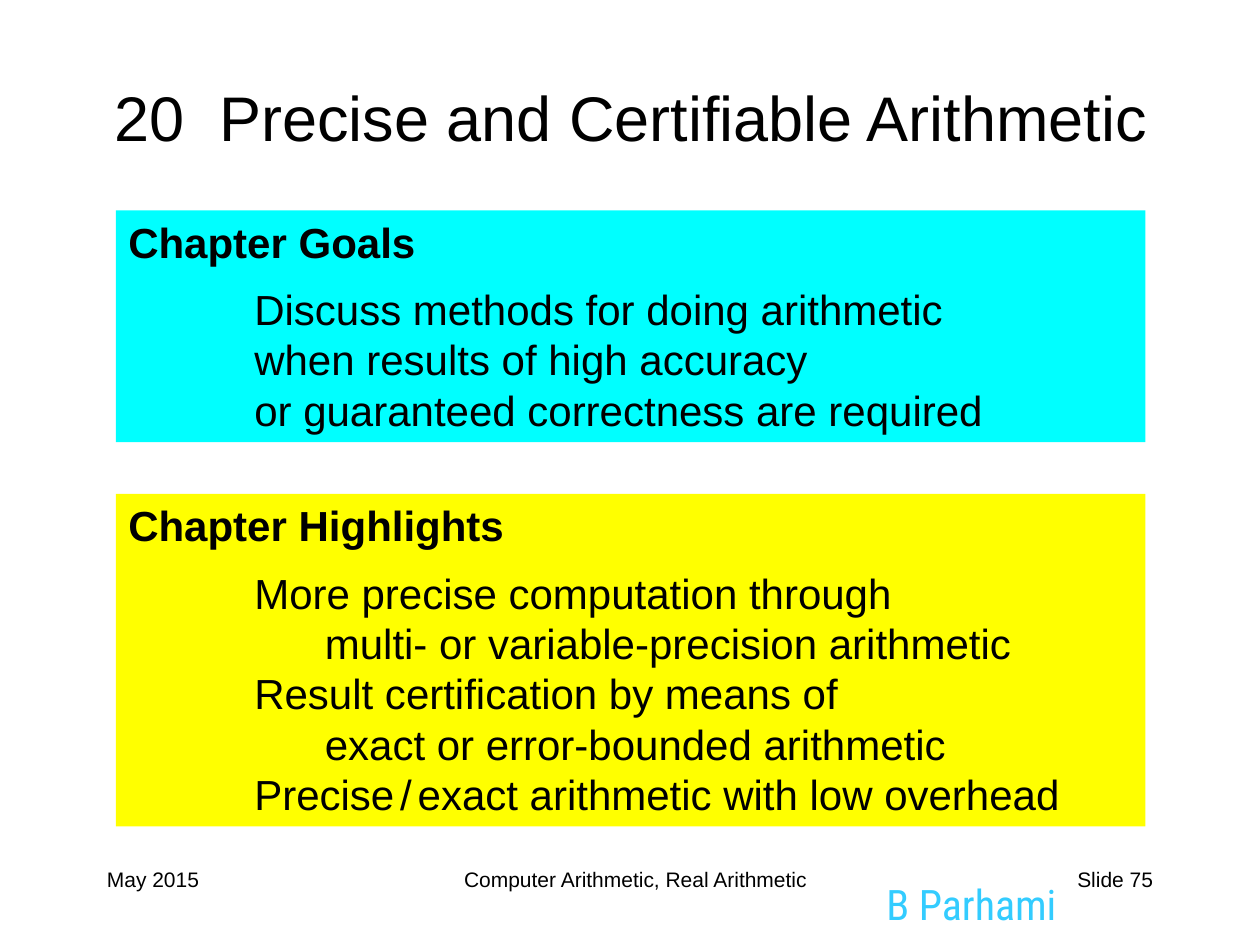
"""Build the chapter opening slide on precise and certifiable arithmetic."""
from pptx import Presentation
from pptx.dml.color import RGBColor
from pptx.enum.shapes import MSO_SHAPE
from pptx.enum.text import MSO_ANCHOR, PP_ALIGN
from pptx.util import Inches, Pt

RECTANGLE = MSO_SHAPE.RECTANGLE
TOP, MIDDLE = MSO_ANCHOR.TOP, MSO_ANCHOR.MIDDLE
LEFT, CENTER, RIGHT = PP_ALIGN.LEFT, PP_ALIGN.CENTER, PP_ALIGN.RIGHT
COLORS = {"text": "000000", "goals": "00FFFF", "highlights": "FFFF00", "author": "33CCFF"}
BODY_SIZE = 24
LINE_HEIGHT = 28.75
HEADING_GAP = 9.6
ITEM_INDENT = 1.0
CONTINUED_INDENT = 1.56


def add_span(para, text, size, color="text", font="Arial", bold=False):
    """Append one formatted run to a paragraph and return it."""
    span = para.add_run()
    span.text = text
    span.font.name = font
    span.font.size = Pt(size)
    span.font.bold = bold
    span.font.color.rgb = RGBColor.from_string(COLORS[color])
    return span


def add_label(page, place, align=LEFT, anchor=TOP):
    """Add an empty text box and return its first paragraph."""
    frame = page.shapes.add_textbox(*map(Inches, place)).text_frame
    frame.word_wrap = True
    frame.vertical_anchor = anchor
    para = frame.paragraphs[0]
    para.alignment = align
    return para


def add_title(page, number, text):
    """Add the centred title with a wide gap after the chapter number."""
    para = add_label(page, (0.42, 0.42, 9.17, 1), CENTER, MIDDLE)
    add_span(para, number, 36)
    gap = add_span(para, " ", 36)
    gap.font._element.set("spc", "1000")
    add_span(para, text, 36)


def add_panel(page, top, height, color, heading, lines):
    """Add a filled panel with a bold heading and indented lines of (indent, spans)."""
    box = page.shapes.add_shape(RECTANGLE, *map(Inches, (0.92, top, 8.17, height)))
    box.shadow.inherit = False
    box.fill.solid()
    box.fill.fore_color.rgb = RGBColor.from_string(COLORS[color])
    box.line.fill.background()
    frame = box.text_frame
    frame.word_wrap = True
    frame.vertical_anchor = TOP
    para = frame.paragraphs[0]
    add_span(para, heading, BODY_SIZE, bold=True)
    for indent, spans in lines:
        para = frame.add_paragraph()
        para._p.get_or_add_pPr().set("marL", str(Inches(indent)))
        for text, size in spans:
            add_span(para, text, size)
    frame.paragraphs[1].space_before = Pt(HEADING_GAP)
    for para in frame.paragraphs:
        para.alignment = LEFT
        para.line_spacing = Pt(LINE_HEIGHT)


def item(text, indent=ITEM_INDENT):
    """Return a panel line made of a single span."""
    return indent, [(text, BODY_SIZE)]


def add_footer(page):
    """Add the date, course, slide number and author at the foot."""
    for left, width, align, text in (
        (0.75, 2.08, LEFT, "May 2015"),
        (2.42, 5.25, CENTER, "Computer Arithmetic, Real Arithmetic"),
        (7.17, 2.08, RIGHT, "Slide 75"),
    ):
        add_span(add_label(page, (left, 6.83, width, 0.5), align), text, 12)
    author = add_label(page, (6.91, 6.92, 1.6, 0.42), CENTER)
    add_span(author, "B Parhami", 24, "author", "Roboto Condensed")


def main():
    """Build and save the slide."""
    deck = Presentation()
    deck.slide_width, deck.slide_height = Inches(10), Inches(7.5)
    page = deck.slides.add_slide(deck.slide_layouts[6])
    add_footer(page)
    add_title(page, "20", "Precise and Certifiable Arithmetic")
    add_panel(page, 1.67, 1.84, "goals", "Chapter Goals", [
        item("Discuss methods for doing arithmetic"),
        item("when results of high accuracy"),
        item("or guaranteed correctness are required"),
    ])
    add_panel(page, 3.92, 2.64, "highlights", "Chapter Highlights", [
        item("More precise computation through"),
        item("multi- or variable-precision arithmetic", CONTINUED_INDENT),
        item("Result certification by means of"),
        item("exact or error-bounded arithmetic", CONTINUED_INDENT),
        (ITEM_INDENT, [
            ("Precise", BODY_SIZE), (" ", 12), ("/", BODY_SIZE), (" ", 12),
            ("exact arithmetic with low overhead", BODY_SIZE),
        ]),
    ])
    deck.save("out.pptx")


if __name__ == "__main__":
    main()
